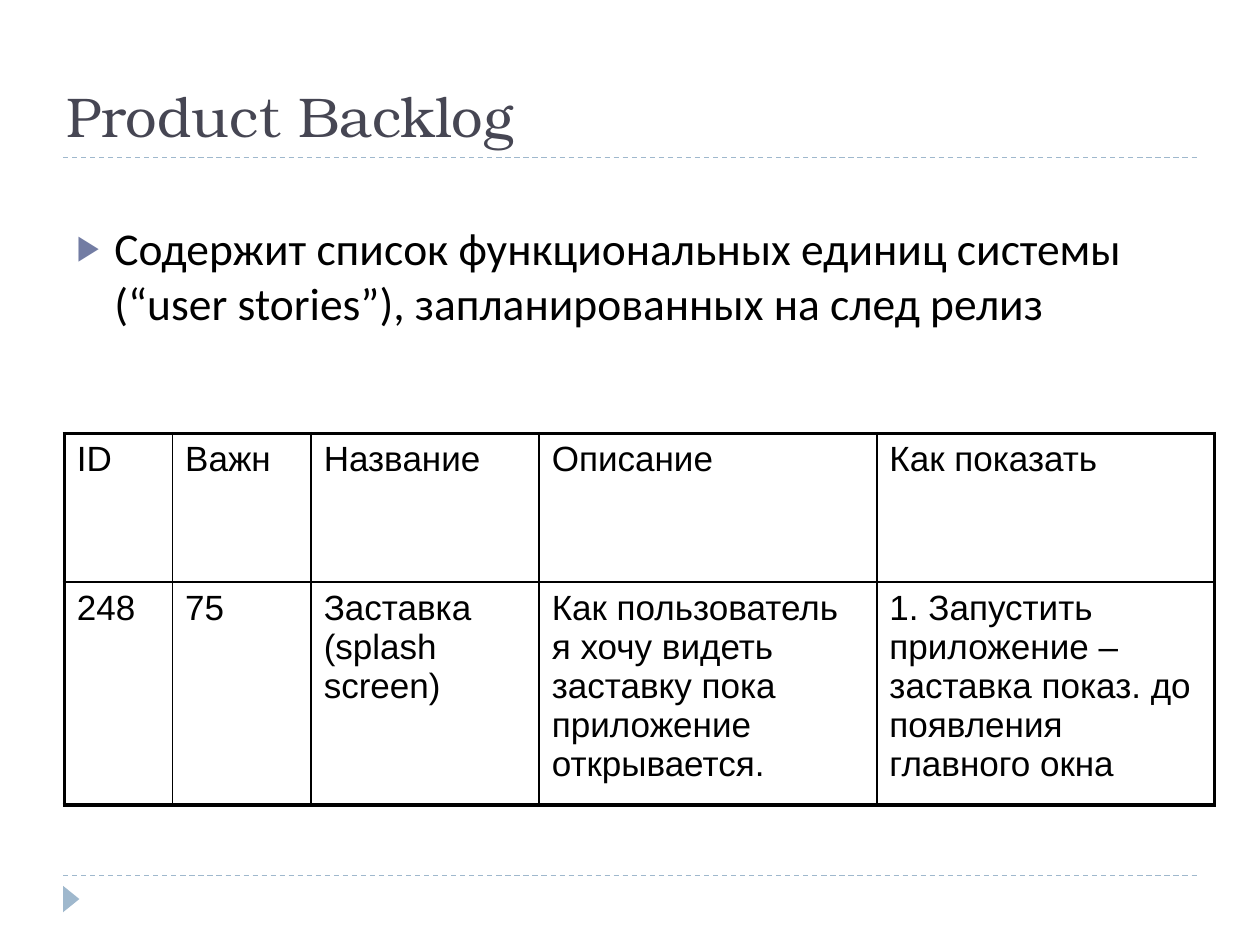
from lxml.etree import SubElement as Sub
from pptx import Presentation
from pptx.dml.color import RGBColor as Rgb
from pptx.enum.dml import MSO_LINE as Dash
from pptx.enum.shapes import MSO_CONNECTOR as Conn, MSO_SHAPE as Form
from pptx.enum.text import MSO_ANCHOR as Anchor
from pptx.oxml.ns import qn
from pptx.util import Inches, Pt

WIDE, HIGH = Inches(10), Inches(7.5)
HUES = {"title": "464653", "ink": "000000", "mark": "727CA3", "rule": "9FB8CD"}
COLS = (8.6, 11, 18.1, 26.8, 26.8)
ROWS = (15.73, 14.93)
CELLS = (
    ("ID", "Важн", "Название", "Описание", "Как показать"),
    (
        "248",
        "75",
        "Заставка (splash screen)",
        "Как пользователь я хочу видеть заставку пока приложение открывается.",
        "1. Запустить приложение – заставка показ. до появления главного окна",
    ),
)


def across(share):
    """Return a percentage of the slide's width."""
    return round(WIDE * share / 100)


def down(share):
    """Return a percentage of the slide's height."""
    return round(HIGH * share / 100)


def area(left, top, width, height):
    """Return a box given in percentages of the slide."""
    return across(left), down(top), across(width), down(height)


def write(frame, words, font="Arial", size=20, hue="ink", anchor=Anchor.TOP):
    """Fill a text frame with one formatted paragraph and return it."""
    frame.word_wrap = True
    frame.vertical_anchor = anchor
    para = frame.paragraphs[0]
    run = para.add_run()
    run.text = words
    run.font.name = font
    run.font.size = Pt(size)
    run.font.color.rgb = Rgb.from_string(HUES[hue])
    return para


def bullet(para, indent):
    """Give a paragraph a coloured arrow bullet and a hanging indent."""
    para.space_before = Pt(6)
    props = para._p.get_or_add_pPr()
    props.set("marL", str(indent))
    props.set("indent", str(-indent))
    Sub(Sub(props, qn("a:buClr")), qn("a:srgbClr"), val=HUES["mark"])
    Sub(props, qn("a:buSzPct"), val="76000")
    Sub(props, qn("a:buFont"), typeface="Arial")
    Sub(props, qn("a:buChar"), char="▶")


def rule(slide, row):
    """Draw a dashed line across the slide."""
    line = slide.shapes.add_connector(
        Conn.STRAIGHT, across(5), down(row), across(95), down(row))
    line.line.color.rgb = Rgb.from_string(HUES["rule"])
    line.line.width = Pt(0.75)
    line.line.dash_style = Dash.DASH
    Sub(line._element.spPr, qn("a:effectLst"))


def arrow(slide):
    """Draw the small triangle in the footer."""
    shape = slide.shapes.add_shape(
        Form.ISOSCELES_TRIANGLE, *area(4.6, 94.27, 2.1, 1.73))
    shape.rotation = 90
    shape.shadow.inherit = False
    shape.fill.solid()
    shape.fill.fore_color.rgb = Rgb.from_string(HUES["rule"])
    shape.line.fill.background()


def border(cell, outer):
    """Edge a cell, with heavy lines on its outer sides."""
    props = cell._tc.get_or_add_tcPr()
    for side in "LRTB":
        width = Pt(2.25 if side in outer else 1)
        edge = Sub(props, qn("a:ln" + side), w=str(width))
        Sub(Sub(edge, qn("a:solidFill")), qn("a:srgbClr"), val=HUES["ink"])
    cell.fill.background()


def backlog(slide):
    """Add the backlog table."""
    box = area(5.1, 45.87, sum(COLS), sum(ROWS))
    table = slide.shapes.add_table(len(ROWS), len(COLS), *box).table
    table.first_row = table.horz_banding = False
    for col, share in zip(table.columns, COLS):
        col.width = across(share)
    for row, share in zip(table.rows, ROWS):
        row.height = down(share)
    for i, line in enumerate(CELLS):
        for j, words in enumerate(line):
            cell = table.cell(i, j)
            write(cell.text_frame, words)
            outer = "B" if i else "T"
            outer += {0: "L", len(COLS) - 1: "R"}.get(j, "")
            border(cell, outer)


def main():
    """Build and save the slide."""
    deck = Presentation()
    deck.slide_width, deck.slide_height = WIDE, HIGH
    slide = deck.slides.add_slide(deck.slide_layouts[6])
    for row in (92.67, 16.67):
        rule(slide, row)
    arrow(slide)
    title = slide.shapes.add_textbox(*area(4.3, 4.8, 82.5, 11.6))
    write(title.text_frame, "Product Backlog", font="TeX Gyre Bonum",
          size=32, hue="title", anchor=Anchor.BOTTOM)
    body = slide.shapes.add_textbox(*area(5.1, 22.67, 91.5, 64.27))
    para = write(
        body.text_frame,
        "Содержит список функциональных единиц системы "
        "(“user stories”), запланированных на след релиз",
        font="Calibri", size=26)
    bullet(para, across(3))
    backlog(slide)
    deck.save("out.pptx")


if __name__ == "__main__":
    main()
